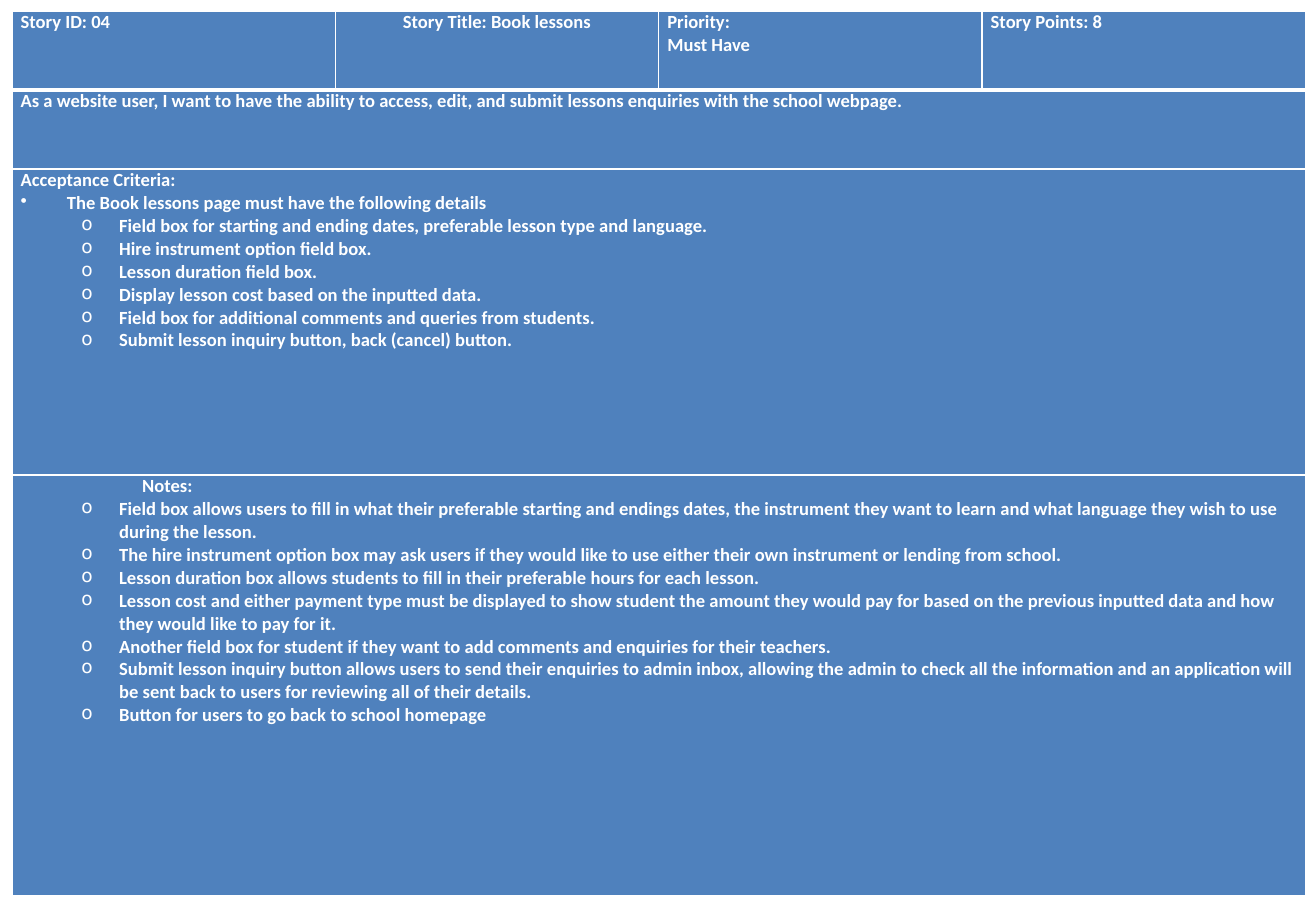
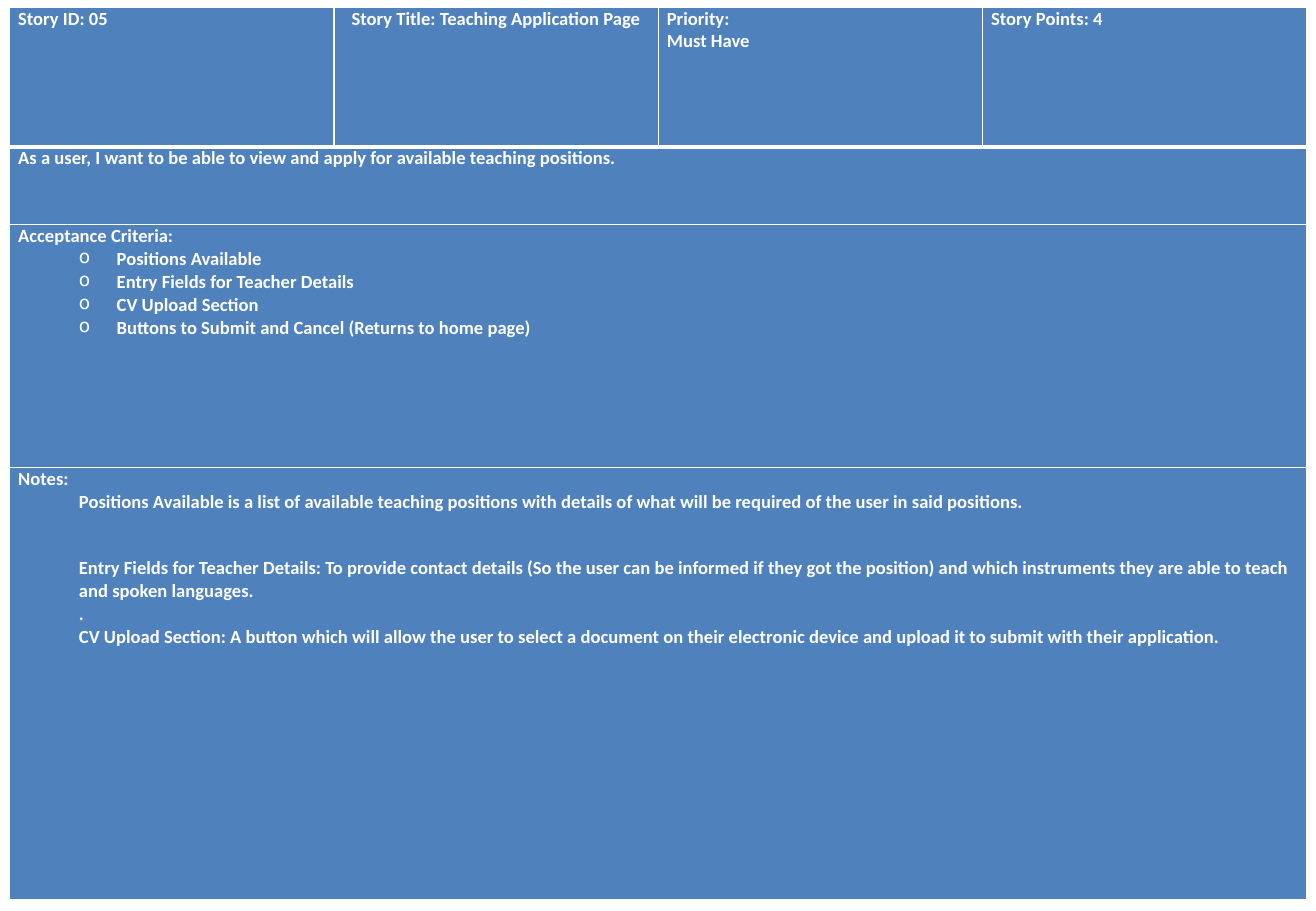
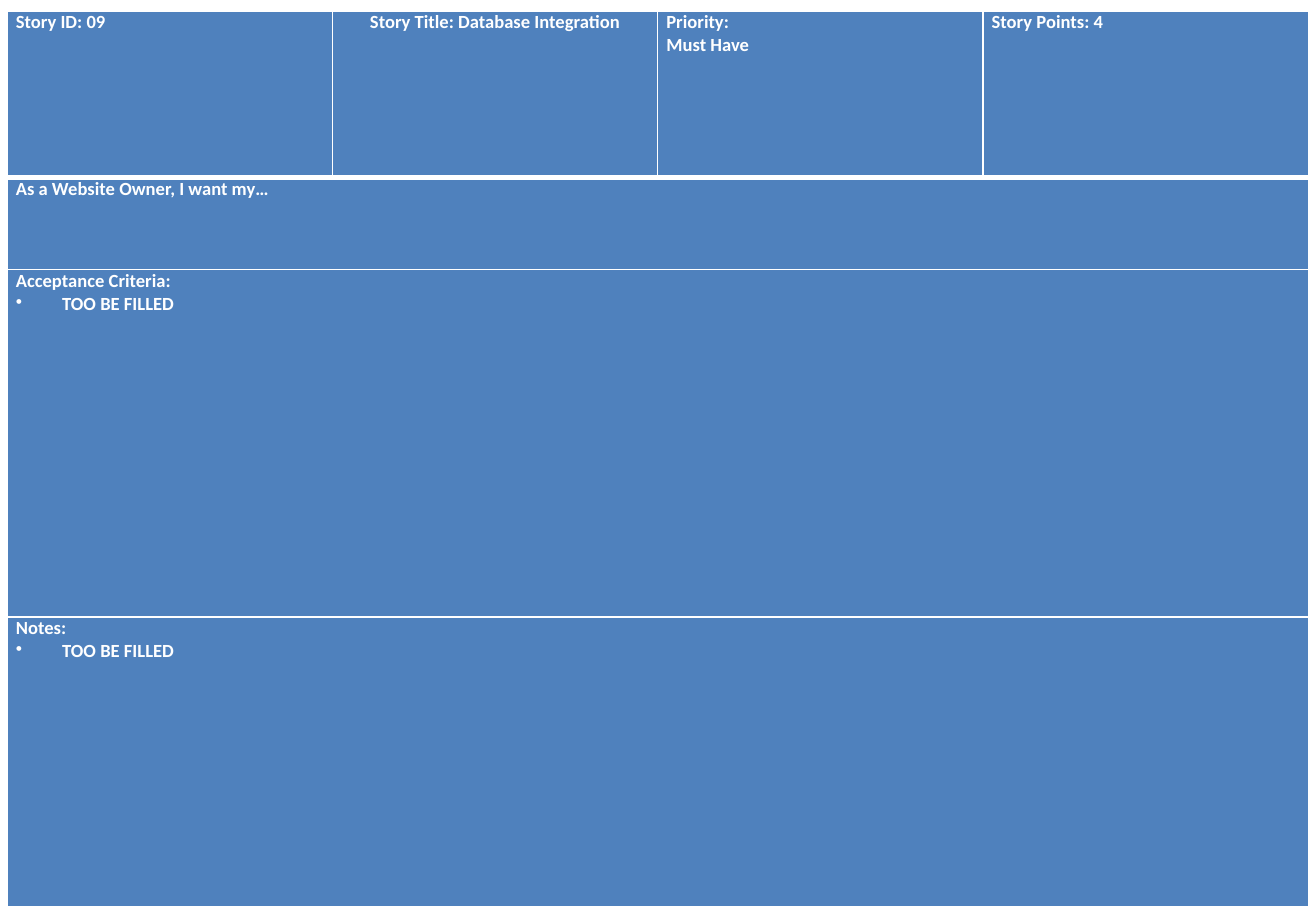
from lxml.etree import SubElement
from pptx import Presentation
from pptx.dml.color import RGBColor
from pptx.enum.text import PP_ALIGN
from pptx.oxml import parse_xml
from pptx.oxml.ns import nsdecls, qn
from pptx.util import Cm, Pt

CARD_BLUE = "4F81BD"
WHITE = "FFFFFF"
FONT_NAME = "Calibri"
FONT_SIZE = 11
THIN, THICK = 1, 3
COLUMNS = 4

# style: (level, left margin in cm, first-line indent in cm, bullet, space after in pt)
STYLES = {
    "plain": (0, 0, 0, None, 0),
    "centred": (0, 0, 0, None, 0),
    "dot": (0, 0.97, -0.97, "•", 0),
    "circle": (1, 2.06, -0.79, "o", 0),
    "indented": (0, 1.27, 0, None, 0),
    "spaced": (0, 1.27, 0, None, 25.5),
    "deep": (0, 2.54, 0, None, 0),
}

STORIES = [
    {
        "left": 0.25, "top": 0.23, "column": 6.76, "rows": [1.65, 1.65, 6.4, 8.81],
        "id": "04", "title": "Book lessons", "points": "8",
        "summary": "As a website user, I want to have the ability to access, edit, and submit "
                   "lessons enquiries with the school webpage.",
        "criteria": [
            ("plain", "Acceptance Criteria:"),
            ("dot", "The Book lessons page must have the following details"),
            ("circle", "Field box for starting and ending dates, preferable lesson type and language."),
            ("circle", "Hire instrument option field box."),
            ("circle", "Lesson duration field box."),
            ("circle", "Display lesson cost based on the inputted data."),
            ("circle", "Field box for additional comments and queries from students."),
            ("circle", "Submit lesson inquiry button, back (cancel) button."),
        ],
        "notes": [
            ("deep", "Notes:"),
            ("circle", "Field box allows users to fill in what their preferable starting and endings "
                       "dates, the instrument they want to learn and what language they wish to use "
                       "during the lesson."),
            ("circle", "The hire instrument option box may ask users if they would like to use either "
                       "their own instrument or lending from school."),
            ("circle", "Lesson duration box allows students to fill in their preferable hours for "
                       "each lesson."),
            ("circle", "Lesson cost and either payment type must be displayed to show student the "
                       "amount they would pay for based on the previous inputted data and how they "
                       "would like to pay for it."),
            ("circle", "Another field box for student if they want to add comments and enquiries for "
                       "their teachers."),
            ("circle", "Submit lesson inquiry button allows users to send their enquiries to admin "
                       "inbox, allowing the admin to check all the information and an application "
                       "will be sent back to users for reviewing all of their details."),
            ("circle", "Button for users to go back to school homepage"),
        ],
    },
    {
        "left": 0.2, "top": 0.15, "column": 6.78, "rows": [2.92, 1.63, 5.08, 9.04],
        "id": "05", "title": "Teaching Application Page", "points": "4",
        "summary": "As a user, I want to be able to view and apply for available teaching positions.",
        "criteria": [
            ("plain", "Acceptance Criteria:"),
            ("circle", "Positions Available"),
            ("circle", "Entry Fields for Teacher Details"),
            ("circle", "CV Upload Section"),
            ("circle", "Buttons to Submit and Cancel (Returns to home page)"),
        ],
        "notes": [
            ("plain", "Notes:"),
            ("spaced", "Positions Available is a list of available teaching positions with details "
                       "of what will be required of the user in said positions."),
            ("indented", "Entry Fields for Teacher Details: To provide contact details (So the user "
                         "can be informed if they got the position) and which instruments they are "
                         "able to teach and spoken languages."),
            ("indented", "."),
            ("indented", "CV Upload Section: A button which will allow the user to select a document "
                         "on their electronic device and upload it to submit with their application."),
        ],
    },
    {
        "left": 0.15, "top": 0.23, "column": 6.8, "rows": [3.48, 1.93, 7.26, 6.05],
        "id": "09", "title": "Database Integration", "points": "4",
        "summary": "As a Website Owner, I want my…",
        "criteria": [("plain", "Acceptance Criteria:"), ("dot", "TOO BE FILLED")],
        "notes": [("plain", "Notes:"), ("dot", "TOO BE FILLED")],
    },
]


def style_cell(cell, top, bottom):
    """Give a cell its fill, margins and white borders; top and bottom are widths in points."""
    cell.fill.solid()
    cell.fill.fore_color.rgb = RGBColor.from_string(CARD_BLUE)
    cell.margin_left = cell.margin_right = Cm(0.18)
    cell.margin_top = cell.margin_bottom = Cm(0)
    properties = cell._tc.get_or_add_tcPr()
    widths = {"lnL": THIN, "lnR": THIN, "lnT": top, "lnB": bottom}
    for position, (side, width) in enumerate(widths.items()):
        properties.insert(position, parse_xml(
            f'<a:{side} {nsdecls("a")} w="{Pt(width)}"><a:solidFill>'
            f'<a:srgbClr val="{WHITE}"/></a:solidFill></a:{side}>'))


def write_paragraphs(cell, lines):
    """Write (style, text) lines into a cell in the shared card font."""
    frame = cell.text_frame
    frame.text = "\n".join(text for _, text in lines)
    for para, (style, _) in zip(frame.paragraphs, lines):
        level, margin, indent, bullet, space_after = STYLES[style]
        para.level = level
        para.alignment = PP_ALIGN.CENTER if style == "centred" else PP_ALIGN.LEFT
        para.space_after = Pt(space_after)
        properties = para._p.get_or_add_pPr()
        properties.set("marL", str(Cm(margin)))
        properties.set("indent", str(Cm(indent)))
        if bullet:
            SubElement(properties, qn("a:buChar")).set("char", bullet)
        for span in para.runs:
            span.font.name = FONT_NAME
            span.font.size = Pt(FONT_SIZE)
            span.font.bold = True
            span.font.color.rgb = RGBColor.from_string(WHITE)


deck = Presentation()
deck.slide_width, deck.slide_height = Cm(27.51), Cm(19.05)
blank_layout = deck.slide_layouts[6]

for story in STORIES:
    page = deck.slides.add_slide(blank_layout)
    heights = story["rows"]
    card = page.shapes.add_table(
        len(heights), COLUMNS, Cm(story["left"]), Cm(story["top"]),
        Cm(story["column"] * COLUMNS), Cm(sum(heights))).table
    for column in card.columns:
        column.width = Cm(story["column"])
    for index, (row, height) in enumerate(zip(card.rows, heights)):
        row.height = Cm(height)
        for cell in row.cells:
            style_cell(cell, THICK if index == 1 else THIN, THICK if index == 0 else THIN)

    header = [
        [("plain", f"Story ID: {story['id']}")],
        [("centred", f"Story Title: {story['title']}")],
        [("plain", "Priority:"), ("plain", "Must Have")],
        [("plain", f"Story Points: {story['points']}")],
    ]
    for index, lines in enumerate(header):
        write_paragraphs(card.cell(0, index), lines)

    sections = [[("plain", story["summary"])], story["criteria"], story["notes"]]
    for index, lines in enumerate(sections, start=1):
        card.cell(index, 0).merge(card.cell(index, COLUMNS - 1))
        write_paragraphs(card.cell(index, 0), lines)

deck.save("out.pptx")
